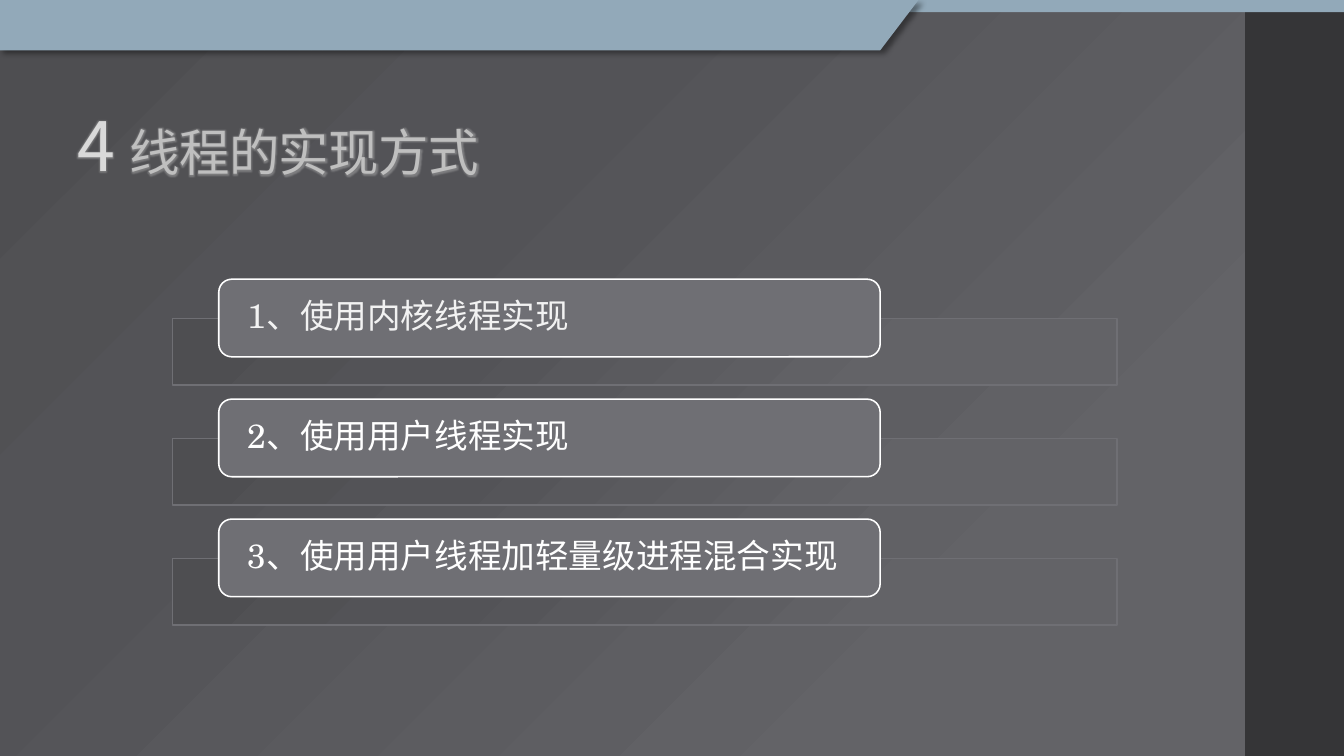
from dataclasses import dataclass

from lxml import etree
from pptx import Presentation
from pptx.dml.color import RGBColor
from pptx.enum import shapes as kinds, text as tx
from pptx.oxml.ns import nsdecls, qn
from pptx.util import Inches, Pt


@dataclass(frozen=True)
class Theme:
    blue: str = "92A9B9"
    dark: str = "353537"
    card: str = "6F6F74"
    white: str = "FFFFFF"
    pale: str = "F2F2F2"
    light: str = "D9D9D9"
    grey: str = "BFBFBF"
    stops: tuple = ((0, "636367"), (23, "636367"), (69, "535357"), (97, "4E4E51"))
    sans: str = "Noto Sans CJK SC"
    serif: str = "TeX Gyre Schola"
    big: float = 48.6
    head: float = 36
    body: float = 24
    edge: float = 1.1


T = Theme()
ITEMS = (
    ("1、使用内核线程实现", T.pale),
    ("2、使用用户线程实现", T.white),
    ("3、使用用户线程加轻量级进程混合实现", T.white),
)
TOP, STEP = 2.77, 1.19


def xml(body):
    """Parse one drawing element written without its namespace."""
    tag, rest = body.split(" ", 1) if " " in body.split(">")[0] else body.split(">", 1)
    join = " " if " " in body.split(">")[0] else ">"
    return etree.fromstring(f"<a:{tag} {nsdecls('a')}{join}{rest}")


def shade(fill, root):
    """Fill with the radial gradient centred on the lower right corner."""
    fill.gradient()
    old = root.find(".//" + qn("a:gradFill"))
    stops = "".join(
        f'<a:gs pos="{pos * 1000}"><a:srgbClr val="{tone}"/></a:gs>'
        for pos, tone in T.stops)
    new = xml(
        f'gradFill rotWithShape="1"><a:gsLst>{stops}</a:gsLst><a:path path="circle">'
        '<a:fillToRect l="100000" t="100000"/></a:path></a:gradFill>')
    old.getparent().replace(old, new)


def style(shape, fill=None, line=None):
    """Set fill and line; without a fill colour the gradient is used."""
    shape.shadow.inherit = False
    if fill:
        shape.fill.solid()
        shape.fill.fore_color.rgb = RGBColor.from_string(fill)
    else:
        shade(shape.fill, shape.element)
    if line:
        shape.line.color.rgb = RGBColor.from_string(line)
        shape.line.width = Pt(T.edge)
    else:
        shape.line.fill.background()
    return shape


def box(slide, kind, area, fill=None, line=None):
    shape = slide.shapes.add_shape(kind, *map(Inches, area))
    return style(shape, fill, line)


def frame(shape, side, edge, anchor):
    """Lay out the text area and return its first paragraph."""
    form = {
        "word_wrap": True,
        "margin_left": Inches(side), "margin_right": Inches(side),
        "margin_top": Inches(edge), "margin_bottom": Inches(edge),
        "vertical_anchor": anchor,
    }
    for name, value in form.items():
        setattr(shape.text_frame, name, value)
    para = shape.text_frame.paragraphs[0]
    para.alignment = tx.PP_ALIGN.LEFT
    para.line_spacing = 0.9
    return para


def write(para, words, size, tone, face):
    run = para.add_run()
    run.text = words
    for name, value in {"size": Pt(size), "name": face}.items():
        setattr(run.font, name, value)
    run.font.color.rgb = RGBColor.from_string(tone)
    props = run.font._element
    props.find(qn("a:latin")).addnext(xml(f'ea typeface="{T.sans}"/>'))
    return props


def banner(slide):
    pts = [(Inches(x), Inches(y)) for x, y in ((0, 0), (9.11, 0), (8.73, 0.5), (0, 0.5))]
    path = slide.shapes.build_freeform(*pts[0])
    path.add_line_segments(pts[1:], close=True)
    shape = style(path.convert_to_shape(), T.blue)
    shape.element.spPr.find(qn("a:effectLst")).append(xml(
        f'outerShdw blurRad="{Pt(4)}" dist="{Pt(3)}" dir="2700000" algn="tl">'
        '<a:srgbClr val="000000"><a:alpha val="40000"/></a:srgbClr></a:outerShdw>'))


def title(slide):
    area = slide.shapes.add_textbox(*map(Inches, (0.67, 1.07, 11.82, 0.77)))
    para = frame(area, 0.1, 0.05, tx.MSO_ANCHOR.TOP)
    for words, size, tone in (("4 ", T.big, T.light), ("线程的实现方式", T.head, T.grey)):
        props = write(para, words, size, tone, T.sans)
        props.set("spc", "-50")
        props.find(qn("a:solidFill")).addnext(xml(
            f'effectLst ><a:glow rad="{Pt(3)}"><a:srgbClr val="{T.grey}">'
            '<a:alpha val="40000"/></a:srgbClr></a:glow></a:effectLst>'))


def item(slide, top, words, tone):
    box(slide, kinds.MSO_SHAPE.RECTANGLE, (1.71, top + 0.39, 9.37, 0.66), line=T.card)
    card = box(slide, kinds.MSO_SHAPE.ROUNDED_RECTANGLE, (2.17, top, 6.56, 0.77),
               T.card, T.white)
    para = frame(card, 0.25, 0, tx.MSO_ANCHOR.MIDDLE)
    write(para, words, T.body, tone, T.serif)


def main():
    deck = Presentation()
    deck.slide_width, deck.slide_height = Inches(13.33), Inches(7.5)
    slide = deck.slides.add_slide(deck.slide_layouts[6])
    shade(slide.background.fill, slide.element)
    box(slide, kinds.MSO_SHAPE.RECTANGLE, (12.35, 0, 0.98, 7.5), T.dark)
    box(slide, kinds.MSO_SHAPE.RECTANGLE, (0, 0, 13.33, 0.12), T.blue)
    banner(slide)
    title(slide)
    for row, (words, tone) in enumerate(ITEMS):
        item(slide, TOP + row * STEP, words, tone)
    deck.save("out.pptx")


if __name__ == "__main__":
    main()
